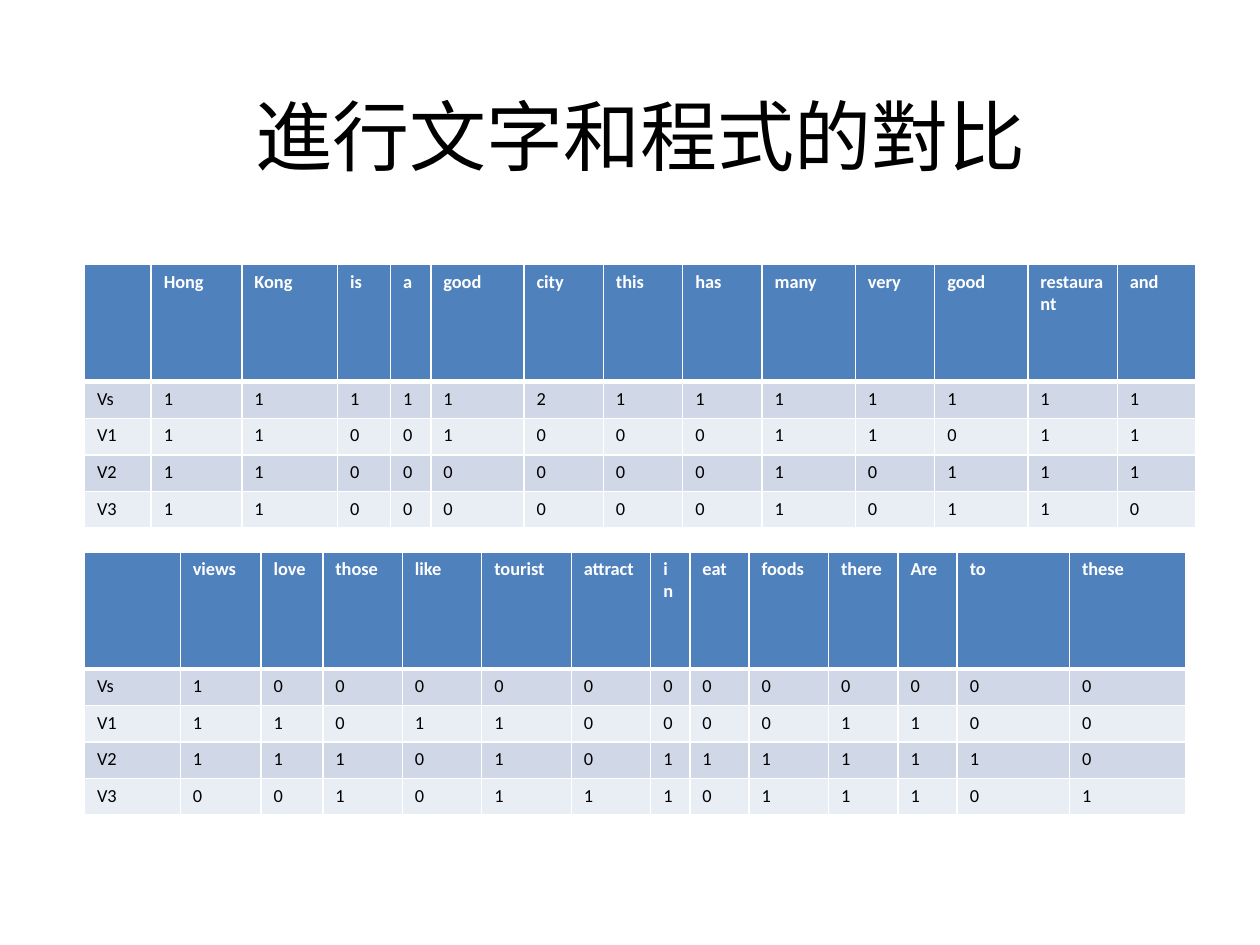
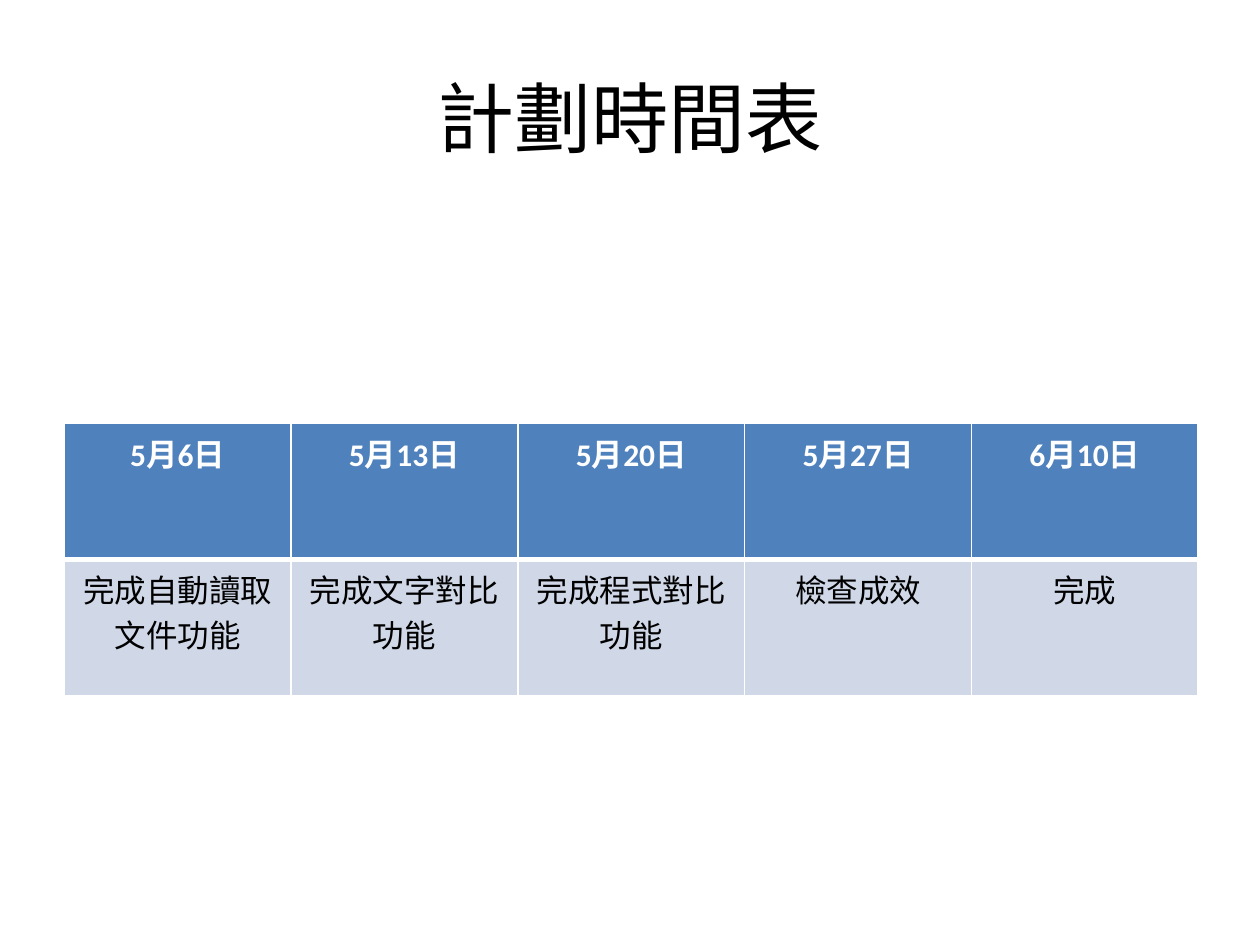
import pptx
import pptx.dml.color
import pptx.enum.text
import pptx.oxml
import pptx.oxml.ns
import pptx.util

COLORS = {
    "header": "4F81BD",
    "odd_row": "D0D8E8",
    "even_row": "E9EDF4",
    "light": "FFFFFF",
    "dark": "000000",
}
FONT = "Calibri"
UNIT = pptx.util.Inches(0.1)  # the slide is a grid of 100 columns by 75 rows
GRID_COLUMNS, GRID_ROWS = 100, 75
THIN, THICK = 1, 3
CENTER = pptx.enum.text.PP_ALIGN.CENTER
LEFT = pptx.enum.text.PP_ALIGN.LEFT


def grid(length):
    """Turn a number of grid units into a slide length."""
    return pptx.util.Emu(round(length * UNIT))


def write(frame, text, size=18, color="dark", bold=False, align=LEFT):
    """Put one formatted paragraph into a text frame."""
    paragraph = frame.paragraphs[0]
    paragraph.alignment = align
    paragraph.font.size = pptx.util.Pt(size)
    if not text:
        return
    run = paragraph.add_run()
    run.text = text
    run.font.name = FONT
    run.font.size = pptx.util.Pt(size)
    run.font.bold = bold
    run.font.color.rgb = pptx.dml.color.RGBColor.from_string(COLORS[color])


def add_title(slide, box, text):
    """Place the centred slide title in its box."""
    title = slide.shapes.add_textbox(*map(grid, box))
    title.text_frame.word_wrap = True
    title.text_frame.vertical_anchor = pptx.enum.text.MSO_ANCHOR.MIDDLE
    write(title.text_frame, text, size=44, align=CENTER)


def set_borders(cell, top, bottom):
    """Draw light cell borders; top and bottom are widths in points."""
    properties = cell._tc.get_or_add_tcPr()
    widths = {"lnL": THIN, "lnR": THIN, "lnT": top, "lnB": bottom}
    for position, (edge, width) in enumerate(widths.items()):
        line = pptx.oxml.parse_xml(
            f'<a:{edge} {pptx.oxml.ns.nsdecls("a")} w="{pptx.util.Pt(width)}">'
            f'<a:solidFill><a:srgbClr val="{COLORS["light"]}"/></a:solidFill>'
            f'</a:{edge}>')
        properties.insert(position, line)


def add_banded_table(slide, box, rows, column_shares, row_shares, size, align=LEFT):
    """Fill a box with a table: a bold header row above banded rows."""
    left, top, width, height = box
    table = slide.shapes.add_table(
        len(rows), len(column_shares), *map(grid, box)).table
    for column, share in zip(table.columns, column_shares):
        column.width = grid(width * share / sum(column_shares))
    for row, share in zip(table.rows, row_shares):
        row.height = grid(height * share / sum(row_shares))
    for r, texts in enumerate(rows):
        is_header = r == 0
        band = "header" if is_header else "odd_row" if r % 2 else "even_row"
        for c, text in enumerate(texts):
            cell = table.cell(r, c)
            cell.fill.solid()
            cell.fill.fore_color.rgb = pptx.dml.color.RGBColor.from_string(COLORS[band])
            set_borders(cell, top=THICK if r == 1 else THIN,
                        bottom=THICK if is_header else THIN)
            write(cell.text_frame, text, size=size, bold=is_header, align=align,
                  color="light" if is_header else "dark")


def add_word_counts(slide, box, words, counts, column_shares):
    """Place a table of word counts, one row for each vector."""
    rows = [["", *words.split()]]
    rows += [[vector, *digits] for vector, digits in counts.items()]
    add_banded_table(slide, box, rows, column_shares,
                     row_shares=[93] + [29] * len(counts), size=10.5)


def build_comparison(slide):
    """Build the slide that compares texts by their word counts."""
    add_title(slide, (5.9, 4.4, 90, 12.5), "進行文字和程式的對比")
    add_word_counts(
        slide, (6.7, 21, 88.2, 20.9),
        "Hong Kong is a good city this has many very good restaurant and",
        {"Vs": "1111121111111", "V1": "1100100011011",
         "V2": "1100000010111", "V3": "1100000010110"},
        [53, 72, 76, 42, 32, 74, 63, 63, 63, 74, 63, 74, 71, 62])
    add_word_counts(
        slide, (6.7, 43.8, 87.4, 20.9),
        "views love those like tourist attract in eat foods there Are to these",
        {"Vs": "1000000000000", "V1": "1101100001100",
         "V2": "1110101111110", "V3": "0010111011101"},
        [76, 64, 49, 63, 63, 71, 63, 31, 47, 63, 55, 47, 89, 92])


def build_schedule(slide):
    """Build the slide with the project timetable."""
    add_title(slide, (5, 3, 90, 12.5), "計劃時間表")
    milestones = {
        "5月6日": "完成自動讀取文件功能",
        "5月13日": "完成文字對比功能",
        "5月20日": "完成程式對比功能",
        "5月27日": "檢查成效",
        "6月10日": "完成",
    }
    add_banded_table(slide, (5.1, 33.6, 90, 21.6),
                     [list(milestones), list(milestones.values())],
                     [1] * len(milestones), [1, 1], size=18, align=CENTER)


deck = pptx.Presentation()
deck.slide_width = grid(GRID_COLUMNS)
deck.slide_height = grid(GRID_ROWS)
blank = deck.slide_layouts[6]
for build in (build_comparison, build_schedule):
    build(deck.slides.add_slide(blank))
deck.save("out.pptx")
